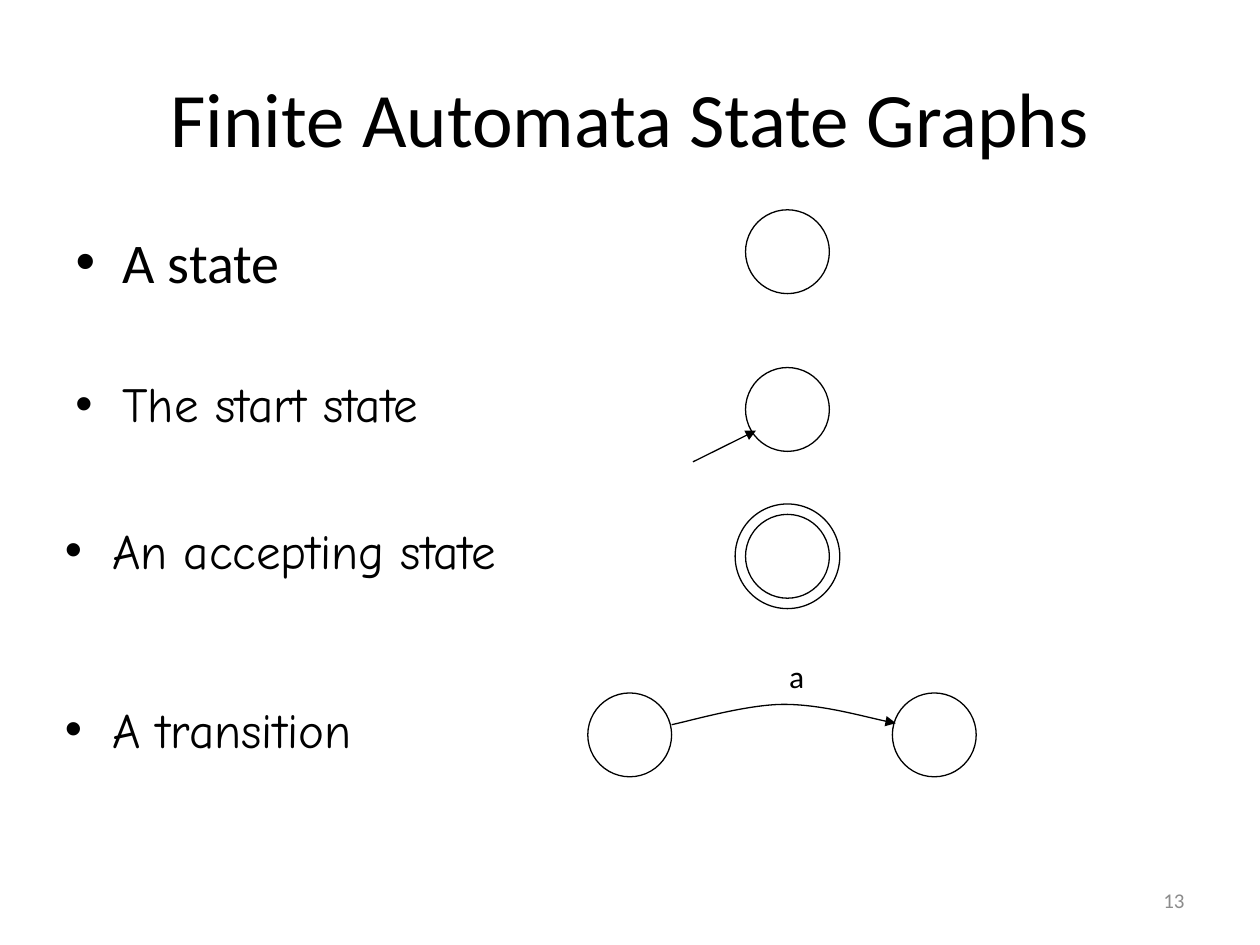
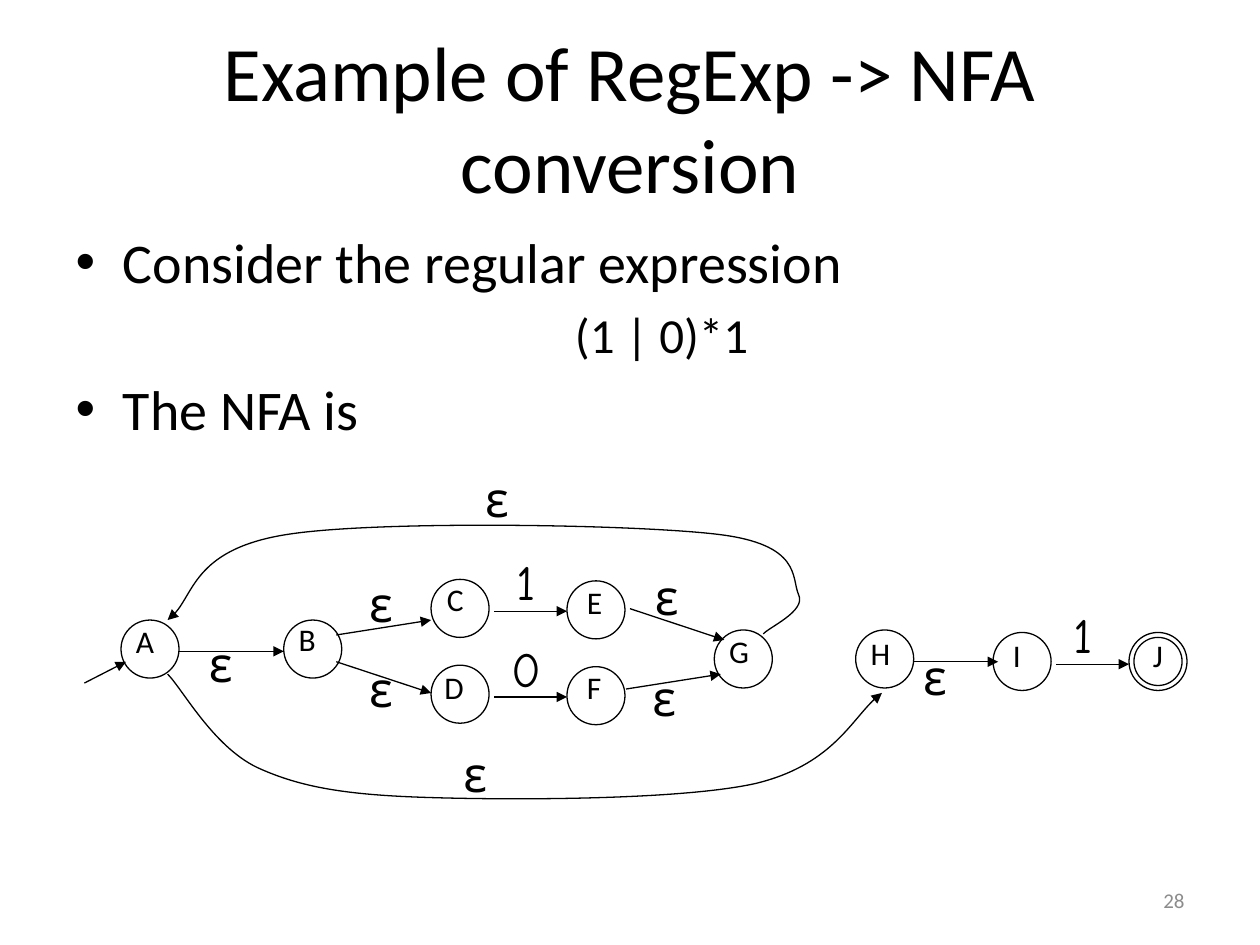
from dataclasses import dataclass

from lxml.etree import SubElement
from pptx import Presentation
from pptx.dml.color import RGBColor
from pptx.enum.shapes import MSO_CONNECTOR as Link, MSO_SHAPE as Preset
from pptx.enum.text import MSO_ANCHOR as Anchor, MSO_AUTO_SIZE as Fit, PP_ALIGN as Align
from pptx.oxml.ns import qn
from pptx.util import Cm, Pt

Point = tuple[float, float]


@dataclass(frozen=True)
class Theme:
    ink: str = "000000"
    faint: str = "8C8C8C"
    main_font: str = "Calibri"
    hand_font: str = "Comic Neue"
    title_size: float = 44
    list_size: float = 32
    item_size: float = 28
    label_size: float = 18
    number_size: float = 12
    line_width: float = 0.75


@dataclass(frozen=True)
class State:
    left: float
    top: float
    size: float
    name: str = ""
    shift: Point = (0, 0)
    name_width: float = 1.12
    ring: float = 0


@dataclass(frozen=True)
class Arrow:
    start: Point
    end: Point


@dataclass(frozen=True)
class Label:
    text: str
    left: float
    top: float
    width: float


@dataclass(frozen=True)
class Item:
    text: str
    left: float
    top: float


THEME = Theme()
BIG, SMALL = 1.69, 1.17
ITEM_WIDTH, ITEM_HEIGHT = 23.07, 1.48
COLUMN = 15.03

ITEMS = [
    Item("The start state", 1.27, 7.41),
    Item("An accepting state", 1.06, 10.37),
    Item("A transition", 1.06, 13.97),
]

LEGEND_STATES = [
    State(COLUMN, 4.23, BIG),
    State(COLUMN, 7.41, BIG),
    State(COLUMN - 0.21, 10.16, BIG + 0.42, ring=0.21),
    State(11.85, 13.97, BIG),
    State(17.99, 13.97, BIG),
]

TRANSITION = [
    (13.54, 14.61), (13.92, 14.53), (15.06, 14.2), (15.8, 14.2),
    (16.56, 14.2), (17.6, 14.5), (18.06, 14.58),
]

NFA_STATES = [
    State(2.44, 12.5, SMALL, "A", (0.05, -0.08)),
    State(5.72, 12.5, SMALL, "B", (0.05, -0.13), 1.07),
    State(8.69, 11.68, SMALL, "C", (0.07, -0.12), 1.07),
    State(8.69, 13.41, SMALL, "D", (0.02, -0.07)),
    State(11.43, 11.71, SMALL, "E", (0.15, -0.08), 1.02),
    State(11.43, 13.44, SMALL, "F", (0.15, -0.1), 0.99),
    State(14.4, 12.7, SMALL, "G", (0.05, -0.08)),
    State(17.25, 12.7, SMALL, "H", (0.05, -0.05)),
    State(20.02, 12.75, SMALL, "I", (0.15, -0.05), 0.79),
    State(22.76, 12.75, SMALL, "J", (0.23, -0.05), 0.84, ring=0.1),
]

NFA_ARROWS = [
    Arrow((1.7, 13.77), (2.54, 13.34)),
    Arrow((3.61, 13.13), (5.72, 13.13)),
    Arrow((6.78, 12.8), (8.69, 12.5)),
    Arrow((6.78, 13.34), (8.69, 13.97)),
    Arrow((9.96, 12.32), (11.43, 12.32)),
    Arrow((9.96, 14.05), (11.43, 14.05)),
    Arrow((12.7, 12.27), (14.6, 12.9)),
    Arrow((12.62, 13.89), (14.53, 13.59)),
    Arrow((18.42, 13.34), (20.12, 13.34)),
    Arrow((21.29, 13.39), (22.76, 13.39)),
]

EPSILON_SPOTS = [
    (9.53, 9.32), (3.96, 12.65), (7.19, 11.43), (7.19, 13.16),
    (12.95, 11.3), (12.9, 13.34), (18.36, 12.9), (9.09, 14.86),
]

NFA_LABELS = [Label("ε", left, top, 0.94) for left, top in EPSILON_SPOTS] + [
    Label("1", 10.16, 11, 0.97),
    Label("0", 10.06, 12.75, 1.12),
    Label("1", 21.39, 12.07, 0.97),
]

SKIP_CURVE = [
    (3.38, 13.59), (3.68, 13.89), (4.29, 15.04), (5.18, 15.47),
    (6.07, 15.88), (7.01, 16.03), (8.69, 16.08),
    (10.34, 16.13), (13.69, 16.13), (15.21, 15.8),
    (16.74, 15.44), (17.25, 14.35), (17.78, 13.97),
]

REPEAT_CURVE = [
    (15.39, 12.78), (15.49, 12.65), (16.26, 12.32), (16.1, 11.99),
    (15.95, 11.66), (16.18, 10.97), (14.45, 10.77),
    (12.75, 10.57), (7.65, 10.49), (5.82, 10.77),
    (3.96, 11.05), (3.89, 12.14), (3.38, 12.5),
]


def write(para, text: str, *, size: float, font: str = THEME.main_font,
          color: str = THEME.ink, align=None, first: bool = True) -> None:
    if align is not None:
        para.alignment = align
    if first:
        para.space_before = Pt(0)
    span = para.add_run()
    span.text = text
    span.font.size = Pt(size)
    span.font.name = font
    span.font.color.rgb = RGBColor.from_string(color)


def place(shape, left: float, top: float, width: float, height: float) -> None:
    shape.left, shape.top = Cm(left), Cm(top)
    shape.width, shape.height = Cm(width), Cm(height)


def add_box(page, left: float, top: float, width: float, height: float):
    box = page.shapes.add_textbox(Cm(left), Cm(top), Cm(width), Cm(height))
    box.text_frame.word_wrap = True
    return box.text_frame


def add_label(page, label: Label, height: float, size: float, font: str) -> None:
    frame = add_box(page, label.left, label.top, label.width, height)
    frame.word_wrap = False
    frame.auto_size = Fit.SHAPE_TO_FIT_TEXT
    write(frame.paragraphs[0], label.text, size=size, font=font)


def add_item(page, item: Item) -> None:
    para = add_box(page, item.left, item.top, ITEM_WIDTH, ITEM_HEIGHT).paragraphs[0]
    props = para._p.get_or_add_pPr()
    props.set("marL", str(Cm(0.95)))
    props.set("indent", str(-Cm(0.95)))
    SubElement(props, qn("a:buFont"), typeface="Arial")
    SubElement(props, qn("a:buChar"), char="•")
    write(para, item.text, size=THEME.item_size, font=THEME.hand_font)


def outline(shape, arrow: bool = False) -> None:
    shape.line.color.rgb = RGBColor.from_string(THEME.ink)
    shape.line.width = Pt(THEME.line_width)
    if arrow:
        SubElement(shape._element.spPr.find(qn("a:ln")), qn("a:tailEnd"), type="triangle")


def add_circle(page, left: float, top: float, size: float) -> None:
    circle = page.shapes.add_shape(Preset.OVAL, Cm(left), Cm(top), Cm(size), Cm(size))
    circle.shadow.inherit = False
    circle.fill.background()
    outline(circle)


def add_state(page, state: State) -> None:
    add_circle(page, state.left, state.top, state.size)
    if state.ring:
        add_circle(page, state.left + state.ring, state.top + state.ring,
                   state.size - 2 * state.ring)
    if state.name:
        shift_x, shift_y = state.shift
        label = Label(state.name, state.left + shift_x, state.top + shift_y, state.name_width)
        add_label(page, label, 1.27, THEME.label_size, THEME.main_font)


def add_arrow(page, arrow: Arrow) -> None:
    ends = [Cm(value) for value in arrow.start + arrow.end]
    line = page.shapes.add_connector(Link.STRAIGHT, *ends)
    outline(line, arrow=True)
    SubElement(line._element.spPr, qn("a:effectLst"))


def add_curve(page, points: list[Point]) -> None:
    start, *rest = [(Cm(x), Cm(y)) for x, y in points]
    builder = page.shapes.build_freeform(*start)
    builder.add_line_segments(rest, close=False)
    curve = builder.convert_to_shape()
    curve.shadow.inherit = False
    curve.fill.background()
    outline(curve, arrow=True)
    outline_path = next(curve._element.iter(qn("a:path")))
    segments = outline_path.findall(qn("a:lnTo"))
    for index in range(0, len(segments), 3):
        bezier = SubElement(outline_path, qn("a:cubicBezTo"))
        for segment in segments[index:index + 3]:
            bezier.append(segment[0])
            outline_path.remove(segment)


def add_page(deck, title: str, number: int):
    page = deck.slides.add_slide(deck.slide_layouts[1])
    heading = page.shapes.title
    place(heading, 1.27, 0.76, 22.86, 3.18)
    heading.text_frame.auto_size = Fit.NONE
    heading.text_frame.vertical_anchor = Anchor.MIDDLE
    write(heading.text_frame.paragraphs[0], title, size=THEME.title_size, align=Align.CENTER)
    footer = add_box(page, 18.2, 17.65, 5.93, 1.01)
    footer.vertical_anchor = Anchor.MIDDLE
    write(footer.paragraphs[0], str(number), size=THEME.number_size,
          color=THEME.faint, align=Align.RIGHT)
    body = page.placeholders[1]
    body.text_frame.auto_size = Fit.NONE
    return page, body


def build_legend(deck) -> None:
    page, body = add_page(deck, "Finite Automata State Graphs", 13)
    place(body, 1.27, 4.45, ITEM_WIDTH, ITEM_HEIGHT)
    write(body.text_frame.paragraphs[0], "A state", size=THEME.list_size)
    for item in ITEMS:
        add_item(page, item)
    for state in LEGEND_STATES:
        add_state(page, state)
    add_arrow(page, Arrow((13.97, 9.31), (15.24, 8.68)))
    add_curve(page, TRANSITION)
    add_label(page, Label("a", 15.66, 13.12, 0.89), 1.27, THEME.label_size, THEME.main_font)


def build_nfa(deck) -> None:
    page, body = add_page(deck, "Example of RegExp -> NFA conversion", 28)
    place(body, 1.27, 4.45, 22.86, 12.57)
    frame = body.text_frame
    write(frame.paragraphs[0], "Consider the regular expression", size=THEME.list_size)
    formula = frame.add_paragraph()
    formula.level = 1
    SubElement(formula._p.get_or_add_pPr(), qn("a:buNone"))
    write(formula, "(1 | 0)*1", size=THEME.item_size, align=Align.CENTER, first=False)
    write(frame.add_paragraph(), "The NFA is", size=THEME.list_size, first=False)
    for state in NFA_STATES:
        add_state(page, state)
    for arrow in NFA_ARROWS:
        add_arrow(page, arrow)
    for curve in (SKIP_CURVE, REPEAT_CURVE):
        add_curve(page, curve)
    for label in NFA_LABELS:
        add_label(page, label, 1.45, THEME.item_size, THEME.hand_font)


def main() -> None:
    deck = Presentation()
    deck.slide_width, deck.slide_height = Cm(25.4), Cm(19.05)
    build_legend(deck)
    build_nfa(deck)
    deck.save("out.pptx")


if __name__ == "__main__":
    main()
